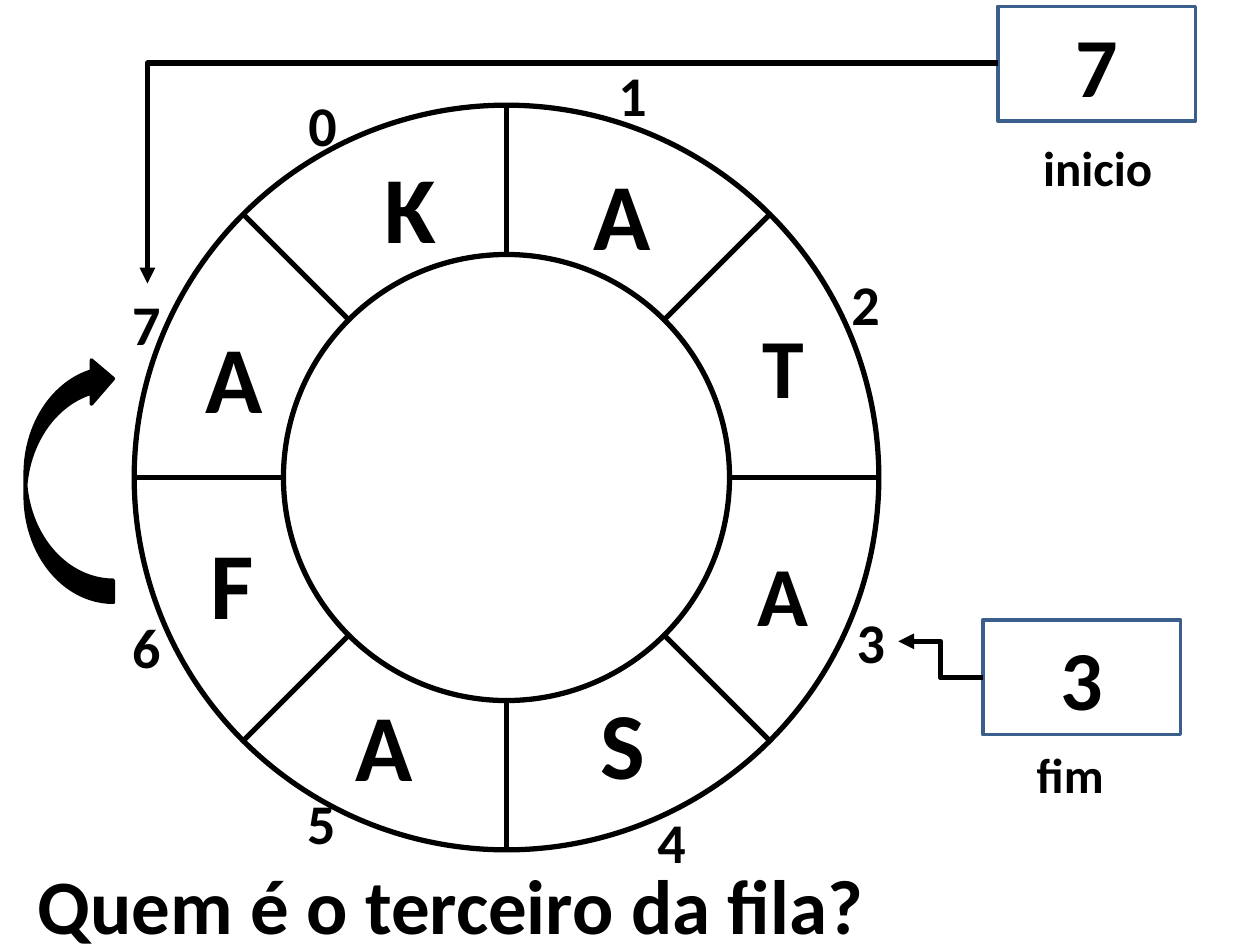
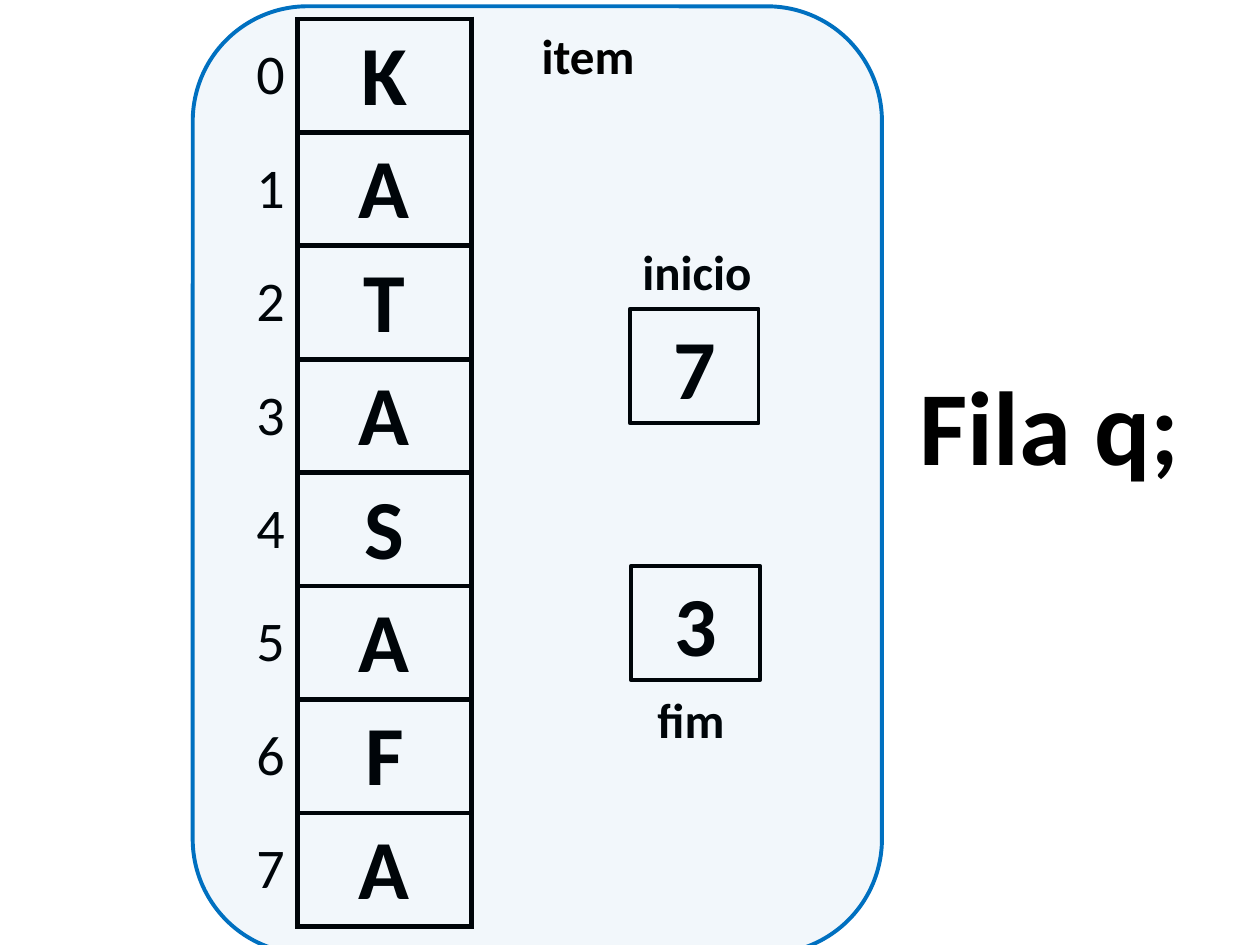
import math

import pptx
import pptx.dml.color
import pptx.enum.shapes
import pptx.enum.text
import pptx.oxml
import pptx.oxml.ns
import pptx.util

Inches, Pt = pptx.util.Inches, pptx.util.Pt
SHAPE = pptx.enum.shapes.MSO_SHAPE
CONNECTOR = pptx.enum.shapes.MSO_CONNECTOR
ALIGN = pptx.enum.text.PP_ALIGN
MIDDLE = pptx.enum.text.MSO_ANCHOR.MIDDLE
qn = pptx.oxml.ns.qn

# Shared look
FONT = "Calibri"
BLACK, BOX_BLUE, PANEL_BLUE = "000000", "3A5F8C", "0070C0"
TEXT_HEIGHT = {28: 0.57, 32: 0.64, 44: 0.84, 48: 0.91, 54: 1.01, 60: 1.11}
BOX_HEIGHT = 0.91

# Content: the circular queue and its two markers
QUEUE = "KATASAFA"
START, END = "7", "3"
START_NAME, END_NAME = "inicio", "fim"
QUESTION = "Quem é o terceiro da fila?"

# Ring geometry and label positions, in queue order
CENTER = (4.02, 3.79)
OUTER, INNER = 2.955, 1.77
INDEX_AT = [(2.35, 0.67), (4.81, 0.43), (6.66, 2.09), (6.7, 4.77),
            (5.12, 6.36), (2.34, 6.21), (0.95, 4.81), (0.95, 2.25)]
LETTER_AT = [  # left, top, width, size
    (2.95, 1.13, 0.62, 54), (4.61, 1.19, 0.66, 54),
    (5.95, 2.45, 0.54, 48), (5.91, 4.26, 0.61, 48),
    (4.66, 5.39, 0.56, 54), (2.72, 5.4, 0.66, 54),
    (1.57, 4.12, 0.55, 54), (1.53, 2.48, 0.66, 54)]

# Slide 2 table
TABLE_AT = (1.61, 0.15)
COLUMNS = (0.75, 1.38)
ROW_HEIGHT = 0.9


def color(value):
    return pptx.dml.color.RGBColor.from_string(value)


def write(tf, text, size, align=ALIGN.LEFT, bold=True):
    p = tf.paragraphs[0]
    p.text = text
    p.alignment = align
    p.font.name, p.font.size, p.font.bold = FONT, Pt(size), bold
    p.font.color.rgb = color(BLACK)


def add_label(s, text, left, top, width, size, align=ALIGN.LEFT):
    tb = s.shapes.add_textbox(Inches(left), Inches(top), Inches(width),
                              Inches(TEXT_HEIGHT[size]))
    tb.text_frame.word_wrap = False
    write(tb.text_frame, text, size, align)


def add_shape(s, kind, left, top, width, height, line, weight, fill=None):
    sp = s.shapes.add_shape(kind, Inches(left), Inches(top),
                            Inches(width), Inches(height))
    sp.shadow.inherit = False
    sp.line.color.rgb = color(line)
    sp.line.width = Pt(weight)
    if fill:
        sp.fill.solid()
        sp.fill.fore_color.rgb = color(fill)
    else:
        sp.fill.background()
    return sp


def add_value_box(s, text, left, top, width, line, weight):
    sp = add_shape(s, SHAPE.RECTANGLE, left, top, width, BOX_HEIGHT, line, weight)
    sp.text_frame.vertical_anchor = MIDDLE
    write(sp.text_frame, text, 48, ALIGN.CENTER)


def add_line(s, start, end, kind=CONNECTOR.STRAIGHT, arrow=False):
    c = s.shapes.add_connector(kind, *(Inches(v) for v in (*start, *end)))
    c.line.color.rgb = color(BLACK)
    c.line.width = Pt(3)
    if arrow:
        pptx.oxml.ns  # arrowhead sits inside the line properties
        c.line._get_or_add_ln().append(c._element.makeelement(
            qn("a:tailEnd"), {"type": "triangle"}))
    sp_pr = c._element.spPr
    sp_pr.append(sp_pr.makeelement(qn("a:effectLst"), {}))
    return c


def add_border(cell, sides):
    tc_pr = cell._tc.get_or_add_tcPr()
    for side in sides:
        tc_pr.append(pptx.oxml.parse_xml(
            '<a:ln%s xmlns:a="http://schemas.openxmlformats.org/drawingml/2006/main"'
            ' w="%d"><a:solidFill><a:srgbClr val="%s"/></a:solidFill></a:ln%s>'
            % (side, Pt(3), BLACK, side)))


def on_ring(radius, angle):
    return (CENTER[0] + radius * math.cos(angle),
            CENTER[1] + radius * math.sin(angle))


def build_ring(s):
    # Two circles cut by evenly spaced spokes
    for radius in (OUTER, INNER):
        add_shape(s, SHAPE.OVAL, CENTER[0] - radius, CENTER[1] - radius,
                  2 * radius, 2 * radius, BLACK, 3)
    for i in range(len(QUEUE)):
        angle = 2 * math.pi * i / len(QUEUE)
        add_line(s, on_ring(OUTER, angle), on_ring(INNER, angle))

    # Indexes outside, letters inside
    for i, (left, top) in enumerate(INDEX_AT):
        add_label(s, str(i), left, top, 0.43, 32)
    for letter, (left, top, width, size) in zip(QUEUE, LETTER_AT):
        add_label(s, letter, left, top, width, size, ALIGN.CENTER)

    # Start and end markers
    add_value_box(s, START, 7.92, 0.05, 1.57, BOX_BLUE, 2)
    add_label(s, START_NAME, 8.18, 1.04, 1.08, 28)
    add_value_box(s, END, 7.8, 4.92, 1.57, BOX_BLUE, 2)
    add_label(s, END_NAME, 8.13, 5.86, 0.74, 28)

    # Direction arrow and question
    turn = add_shape(s, SHAPE.CURVED_LEFT_ARROW, 0.2, 2.83, 0.7, 1.95,
                     BLACK, 2, BLACK)
    turn.rotation = 180
    add_label(s, QUESTION, 0.2, 6.76, 6.82, 44)

    # Arrows from the markers to their indexes
    corner = add_line(s, (7.92, 0.5), (1.17, 2.25), CONNECTOR.ELBOW, arrow=True)
    corner._element.spPr.find(qn("a:prstGeom")).set("prst", "bentConnector2")
    add_line(s, (7.8, 5.38), (7.13, 5.09), CONNECTOR.ELBOW, arrow=True)


def build_struct(s):
    # Start and end fields
    add_value_box(s, START, 5, 2.45, 1.02, BLACK, 2.25)
    add_label(s, START_NAME, 5, 1.87, 1.08, 28)
    add_value_box(s, END, 5.01, 4.49, 1.02, BLACK, 2.25)
    add_label(s, END_NAME, 5.12, 5.42, 0.74, 28)

    # Item array
    table = s.shapes.add_table(
        len(QUEUE), 2, *(Inches(v) for v in TABLE_AT), Inches(sum(COLUMNS)),
        Inches(ROW_HEIGHT * len(QUEUE))).table
    table.first_row = table.horz_banding = False
    for column, width in zip(table.columns, COLUMNS):
        column.width = Inches(width)
    for i, letter in enumerate(QUEUE):
        table.rows[i].height = Inches(ROW_HEIGHT)
        index, item = table.cell(i, 0), table.cell(i, 1)
        write(index.text_frame, str(i), 32, ALIGN.RIGHT, bold=False)
        write(item.text_frame, letter, 48, ALIGN.CENTER)
        index.vertical_anchor = MIDDLE
        add_border(index, "R")
        add_border(item, "LRTB")
        index.fill.background()
        item.fill.background()

    # Translucent panel around the structure
    panel = add_shape(s, SHAPE.ROUNDED_RECTANGLE, 1.53, 0.05, 5.47, 7.52,
                      PANEL_BLUE, 2.25, PANEL_BLUE)
    tint = panel._element.spPr.find(qn("a:solidFill"))[0]
    tint.append(tint.makeelement(qn("a:alpha"), {"val": "5000"}))
    add_label(s, "Fila q;", 7.2, 2.81, 2.29, 60)
    add_label(s, "item", 4.2, 0.15, 0.95, 28)


def main():
    prs = pptx.Presentation()
    prs.slide_width, prs.slide_height = Inches(10), Inches(7.5)
    for build in (build_ring, build_struct):
        build(prs.slides.add_slide(prs.slide_layouts[6]))
    prs.save("out.pptx")


if __name__ == "__main__":
    main()
